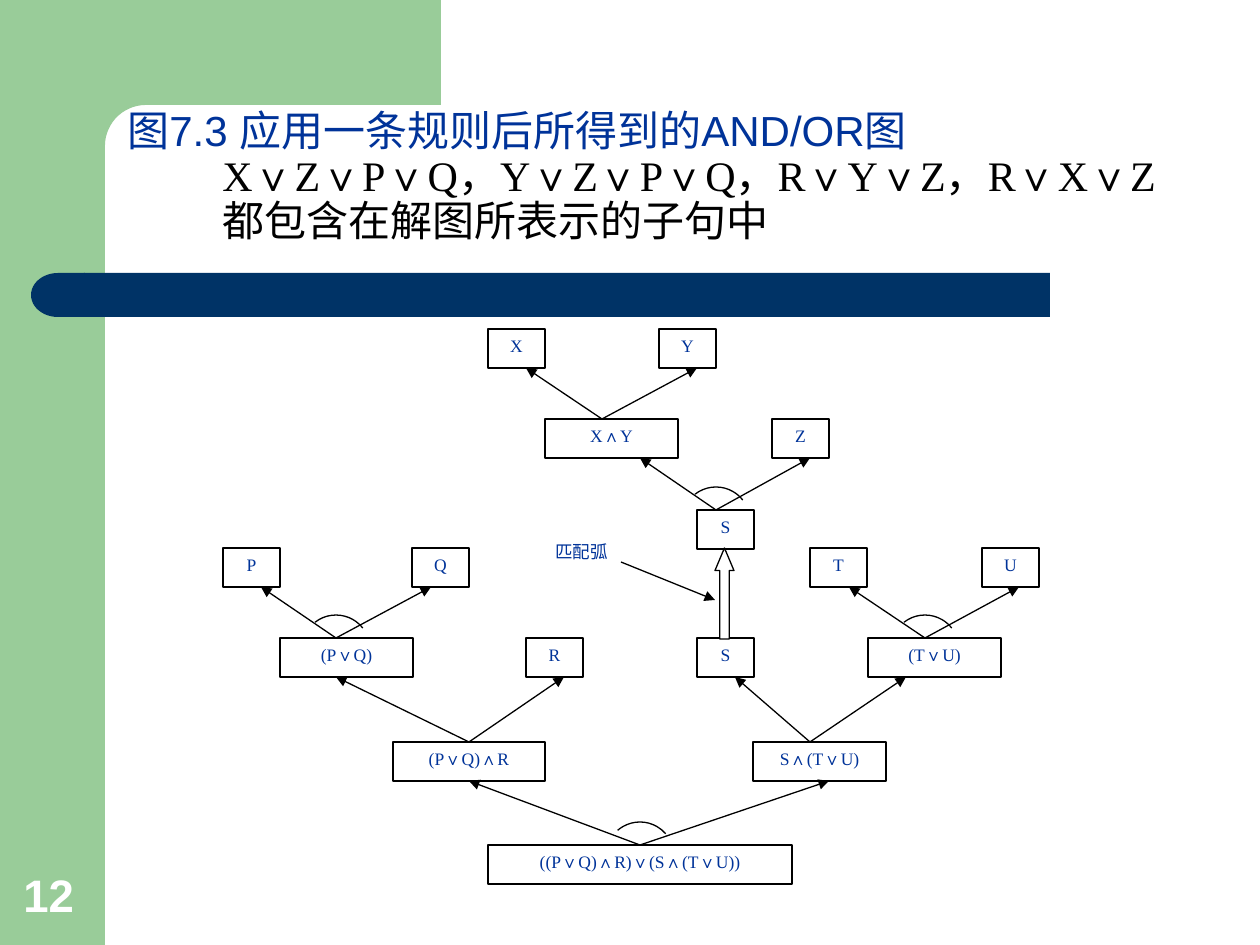
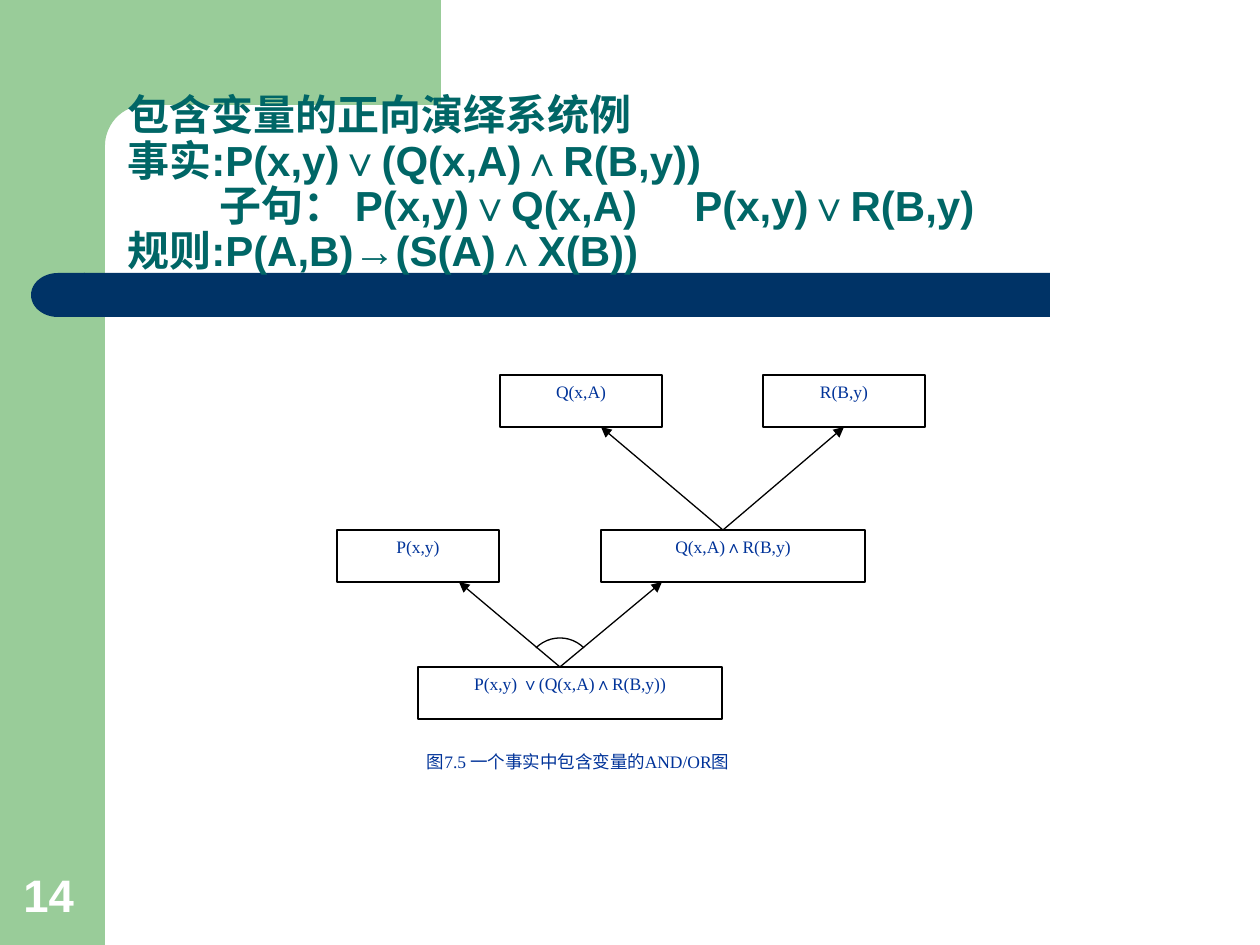
from math import cos, radians, sin

from lxml.etree import SubElement
from pptx import Presentation
from pptx.dml.color import RGBColor
from pptx.enum.shapes import MSO_CONNECTOR as Link, MSO_SHAPE as Kind
from pptx.enum.text import MSO_ANCHOR as Anchor, PP_ALIGN as Align
from pptx.oxml.ns import qn
from pptx.util import Pt

PX = 914400 / 126
GREEN = RGBColor(0x99, 0xCC, 0x99)
NAVY = RGBColor(0x00, 0x33, 0x66)
BLUE = RGBColor(0x00, 0x33, 0x99)
TEAL = RGBColor(0x00, 0x66, 0x66)
WHITE = RGBColor(0xFF, 0xFF, 0xFF)
BLACK = RGBColor(0x00, 0x00, 0x00)
SANS, SERIF = "Arial", "Times New Roman"
TOP, BOTTOM = 0, 2

RULE_TREE = {
    "height": 39,
    "nodes": {
        "X": ("X", 265, 0, 57),
        "Y": ("Y", 436, 0, 57),
        "XY": ("X∧Y", 322, 90, 133),
        "Z": ("Z", 549, 90, 57),
        "goal": ("S", 474, 181, 57),
        "P": ("P", 0, 219, 57),
        "Q": ("Q", 189, 219, 57),
        "T": ("T", 587, 219, 57),
        "U": ("U", 759, 219, 57),
        "PQ": ("(P∨Q)", 57, 309, 133),
        "R": ("R", 303, 309, 57),
        "S": ("S", 474, 309, 57),
        "TU": ("(T∨U)", 645, 309, 133),
        "PQR": ("(P∨Q)∧R", 170, 413, 152),
        "STU": ("S∧(T∨U)", 530, 413, 133),
        "root": ("((P∨Q)∧R)∨(S∧(T∨U))", 265, 516, 304),
    },
    "forks": [
        ("XY", 379, (("X", 303), ("Y", 474))),
        ("goal", 493, (("XY", 417), ("Z", 587))),
        ("PQ", 113, (("P", 38), ("Q", 208))),
        ("TU", 702, (("T", 626), ("U", 796))),
        ("PQR", 246, (("PQ", 113), ("R", 341))),
        ("STU", 587, (("S", 512), ("TU", 683))),
        ("root", 417, (("PQR", 246), ("STU", 606))),
    ],
    "arcs": [("goal", 23, 7), ("PQ", 23, 7), ("TU", 23, 7), ("root", 23, 4)],
}
FACT_TREE = {
    "height": 52,
    "nodes": {
        "Q": ("Q(x,A)", 163, 0, 162),
        "R": ("R(B,y)", 426, 0, 162),
        "P": ("P(x,y)", 0, 155, 162),
        "QR": ("Q(x,A)∧R(B,y)", 264, 155, 264),
        "root": ("P(x,y) ∨(Q(x,A)∧R(B,y))", 81, 292, 304),
    },
    "forks": [
        ("QR", 386, (("Q", 264), ("R", 507))),
        ("root", 223, (("P", 122), ("QR", 325))),
    ],
    "arcs": [("root", 29, 0)],
}


def px(*sizes):
    """Turn px lengths into EMU."""
    return [round(size * PX) for size in sizes]


def write(par, text, size, font, color, bold=False):
    """Add one run to a paragraph."""
    run = par.add_run()
    run.text = text
    run.font.size = Pt(size)
    run.font.name = font
    run.font.bold = bold
    run.font.color.rgb = color


def paint(shape, fill=None, line=None):
    """Set fill and outline, and drop the shadow."""
    shape.shadow.inherit = False
    if fill is None:
        shape.fill.background()
    else:
        shape.fill.solid()
        shape.fill.fore_color.rgb = fill
    if line is None:
        shape.line.fill.background()
    else:
        shape.line.color.rgb = line
        shape.line.width = Pt(0.75)
    return shape


def draw(slide, kind, box, fill=None, line=None):
    """Add a painted preset shape."""
    return paint(slide.shapes.add_shape(kind, *px(*box)), fill, line)


def text_box(slide, box, anchor):
    """Add a wrapping text box and return its frame."""
    frame = slide.shapes.add_textbox(*px(*box)).text_frame
    frame.word_wrap = True
    frame.vertical_anchor = anchor
    return frame


def label(slide, box, text, line=None):
    """Add a white box with small centred text at its top."""
    shape = draw(slide, Kind.RECTANGLE, box, WHITE, line)
    frame = shape.text_frame
    frame.word_wrap = True
    frame.vertical_anchor = Anchor.TOP
    par = frame.paragraphs[0]
    par.alignment = Align.CENTER
    write(par, text, 10, SERIF, BLUE)
    return shape


def arrow(slide, start, end):
    """Add a thin straight line with a head at its end."""
    line = slide.shapes.add_connector(Link.STRAIGHT, *px(*start, *end))
    line.line.color.rgb = BLACK
    line.line.width = Pt(0.75)
    SubElement(line.line._get_or_add_ln(), qn("a:tailEnd"), type="triangle")
    SubElement(line._element.spPr, qn("a:effectLst"))
    return line


def arc(slide, x, y, lift, tilt):
    """Mark the fork at x, y as joined, lift px above it."""
    size = 34
    shape = draw(slide, Kind.ARC, (x - size, y - lift, 2 * size, 2 * size),
                 line=BLACK)
    for i, angle in enumerate((225, 315)):
        shape.adjustments[i] = (angle + tilt) * 0.6


def tree(slide, box, plan):
    """Draw boxes, arrows and arcs of an AND/OR tree."""
    left, top = box
    high = plan["height"]
    nodes, shapes = plan["nodes"], {}
    for key, (text, x, y, wide) in nodes.items():
        shapes[key] = label(slide, (left + x, top + y, wide, high), text, BLACK)

    def middle(key, x):
        """Tell whether x is the middle of a box."""
        return abs(nodes[key][1] + nodes[key][3] / 2 - x) <= 1

    tips = {}
    for key, x, kids in plan["forks"]:
        tips[key] = left + x, top + nodes[key][2]
        for kid, end in kids:
            line = arrow(slide, tips[key],
                         (left + end, top + nodes[kid][2] + high))
            if middle(key, x):
                line.begin_connect(shapes[key], TOP)
            if middle(kid, end):
                line.end_connect(shapes[kid], BOTTOM)
    for key, lift, tilt in plan["arcs"]:
        arc(slide, *tips[key], lift, tilt)


def match(slide, box):
    """Draw the hollow match arrow with its label and pointer."""
    x, y = box
    shape = draw(slide, Kind.UP_ARROW, (x + 190, y + 13, 19, 91), WHITE, BLACK)
    shape.adjustments[0] = 0.5
    shape.adjustments[1] = 1.19
    label(slide, (x, y, 113, 39), "匹配弧")
    arrow(slide, (x + 96, y + 27), (x + 190, y + 65))


def corner(slide, box):
    """Draw the green block with its rounded inner corner."""
    x, y, wide, high = box
    side, edge, bend = x + 42, y + 105, 41
    curve = [(side + bend - bend * sin(radians(a)),
              edge + bend - bend * cos(radians(a))) for a in range(0, 91, 6)]
    points = [(x + wide, y), (x + wide, edge), *curve,
              (side, y + high), (x, y + high)]
    form = slide.shapes.build_freeform(*px(x, y), scale=1.0)
    form.add_line_segments([px(*point) for point in points], close=True)
    paint(form.convert_to_shape(), GREEN)


def frame(slide, number):
    """Draw the side band, title bar and page number."""
    draw(slide, Kind.RECTANGLE, (0, 0, 105, 945), GREEN)
    corner(slide, (63, 0, 378, 161))
    draw(slide, Kind.RECTANGLE, (84, 273, 966, 44), NAVY)
    draw(slide, Kind.FLOWCHART_DELAY, (31, 273, 54, 44), NAVY).rotation = 180
    page = text_box(slide, (11, 861, 81, 67), Anchor.BOTTOM)
    write(page.paragraphs[0], number, 26, SANS, WHITE, True)


def title(slide, box):
    """Add an empty title and return its frame."""
    return text_box(slide, box, Anchor.BOTTOM)


def indent(par, margin, first, stop=None):
    """Set left margin, first-line indent and a tab stop."""
    props = par._p.get_or_add_pPr()
    for name, size in zip(("marL", "indent"), px(margin, first)):
        props.set(name, str(size))
    if stop:
        tabs = SubElement(props, qn("a:tabLst"))
        SubElement(tabs, qn("a:tab"), pos=str(px(stop)[0]), algn="l")


def rule_slide(slide):
    """Build the slide on the graph after one rule."""
    frame(slide, "12")
    par = title(slide, (115, 115, 1072, 137)).paragraphs[0]
    par.line_spacing = 0.9
    indent(par, 95, -95)
    write(par, "图7.3 应用一条规则后所得到的AND/OR图", 24, SANS, BLUE)
    par.add_line_break()
    write(par, "X∨Z∨P∨Q，Y∨Z∨P∨Q，R∨Y∨Z，R∨X∨Z都包含在解图所表示的子句中",
          24, SERIF, BLACK)
    tree(slide, (223, 329), RULE_TREE)
    match(slide, (525, 535))


def fact_slide(slide):
    """Build the slide on a fact with variables."""
    frame(slide, "14")
    head = title(slide, (115, 145, 1072, 137))
    lines = (("包含变量的正向演绎系统例", 0),
             ("事实:P(x,y)∨(Q(x,A)∧R(B,y))", 0),
             ("子句： P(x,y)∨Q(x,A)\tP(x,y)∨R(B,y)", 92),
             ("规则:P(A,B)→(S(A)∧X(B))", 0))
    for i, (text, first) in enumerate(lines):
        par = head.add_paragraph() if i else head.paragraphs[0]
        par.line_spacing = 0.9
        indent(par, 0, first, 589 if first else None)
        write(par, text, 24, SANS, TEAL, True)
    tree(slide, (337, 375), FACT_TREE)
    note = text_box(slide, (304, 745, 548, 52), Anchor.TOP).paragraphs[0]
    note.alignment = Align.CENTER
    write(note, "图7.5 一个事实中包含变量的AND/OR图", 10, SERIF, BLUE)


def main():
    """Build and save both slides."""
    deck = Presentation()
    deck.slide_width, deck.slide_height = px(1260, 945)
    for build in (rule_slide, fact_slide):
        build(deck.slides.add_slide(deck.slide_layouts[6]))
    deck.save("out.pptx")


if __name__ == "__main__":
    main()
